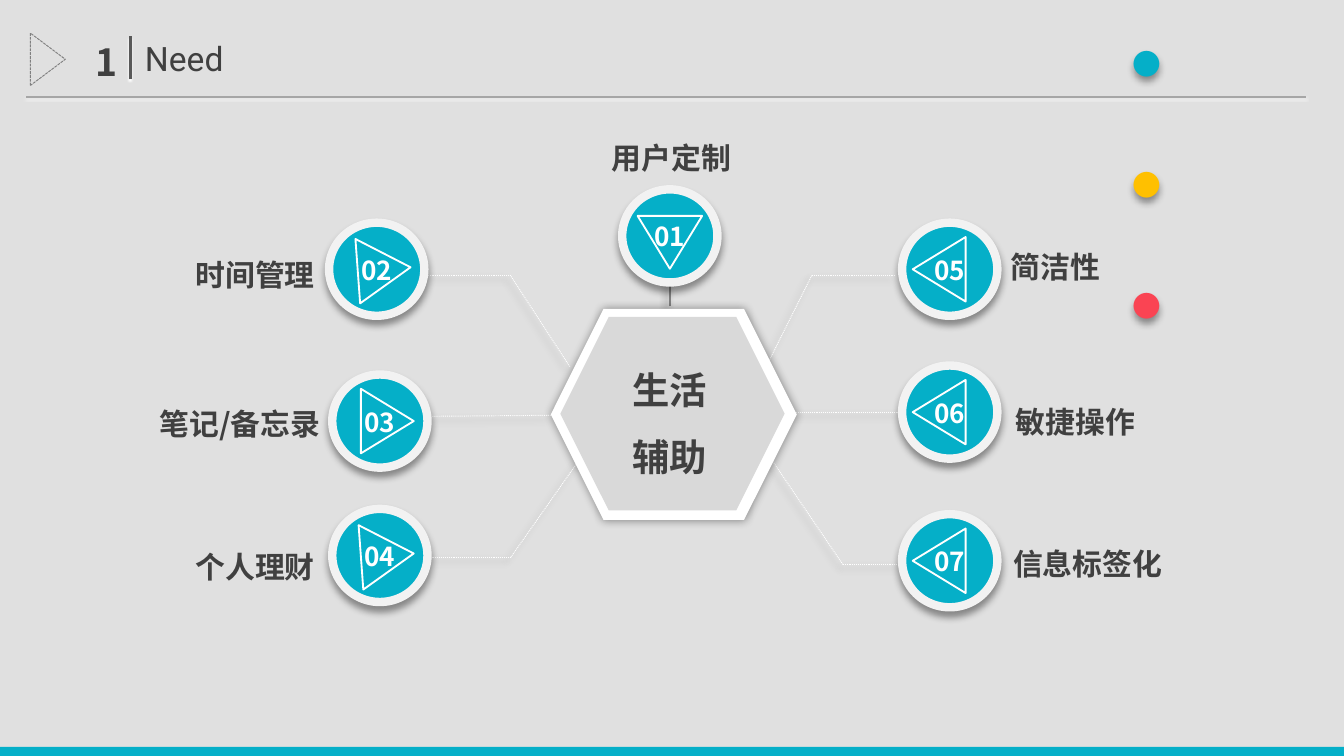
"""Build the slide on the seven needs around a life assistant."""
from lxml import etree
from pptx import Presentation
from pptx import util as u
from pptx.dml.color import RGBColor
from pptx.enum import dml, shapes, text
from pptx.oxml import ns

CM = u.Cm
TEAL, DARK, WHITE = "05AFC8", "404040", "FFFFFF"
CJK = "Noto Sans CJK SC"
KIND, ALIGN = shapes.MSO_SHAPE, text.PP_ALIGN


def colour(code):
    """Turn a hex string into a colour."""
    return RGBColor.from_string(code)


def write(content, left, top, width, height, shape=None, size=16, font=CJK, bold=True,
          align=ALIGN.CENTER, anchor=text.MSO_ANCHOR.MIDDLE, spacing=None, colours=(DARK,)):
    """Write lines of text; a line given as a list has one run per colour."""
    shape = shape or slide.shapes.add_textbox(0, 0, 0, 0)
    shape.left, shape.top, shape.width, shape.height = CM(left), CM(top), CM(width), CM(height)
    frame = shape.text_frame
    frame.word_wrap, frame.vertical_anchor = True, anchor
    frame.margin_left = frame.margin_right = CM(0.25)
    frame.margin_top = frame.margin_bottom = CM(0.13)
    for index, line in enumerate(content):
        paragraph = frame.add_paragraph() if index else frame.paragraphs[0]
        paragraph.alignment, paragraph.line_spacing = align, spacing
        paragraph.space_before = u.Pt(0)
        for piece, code in zip([line] if isinstance(line, str) else line, colours):
            run = paragraph.add_run()
            run.text = piece
            run.font.size, run.font.bold, run.font.name = u.Pt(size), bold, font
            run.font.color.rgb = colour(code)
            etree.SubElement(run.font._element, ns.qn("a:ea"), typeface=font)
    return shape


presentation = Presentation()
presentation.slide_width, presentation.slide_height = CM(25.4), CM(14.29)
slide = presentation.slides.add_slide(presentation.slide_layouts[5])
shadows = []

backdrop = slide.shapes.add_shape(KIND.RECTANGLE, 0, 0, CM(25.4), CM(14.12))
backdrop.fill.solid()
backdrop.fill.fore_color.rgb = colour("000000")
tint = backdrop.element.spPr.find(".//" + ns.qn("a:srgbClr"))
etree.SubElement(tint, ns.qn("a:alpha"), val="12000")
footer = slide.shapes.add_shape(KIND.RECTANGLE, 0, CM(14.12), CM(25.4), CM(0.17))
footer.fill.solid()
footer.fill.fore_color.rgb = colour(TEAL)
for band in (backdrop, footer):
    band.line.fill.background()
    band.shadow.inherit = False

DOTTED = (WHITE, 0.5, dml.MSO_LINE.ROUND_DOT, ("000000", 40, 4, 3, 135))
STEM = ("808080", 1, dml.MSO_LINE.SOLID, ("000000", 40, 4, 3, 135))
RULE = ("A6A6A6", 0.75, dml.MSO_LINE.SOLID, (WHITE, 100, 1, 1, 90))
DIVIDER = ("595959", 1.5, dml.MSO_LINE.SOLID, (WHITE, 100, 1, 1, 90))
routes = [
    (DOTTED, [(10.77, 6.93), (9.65, 5.21), (8.05, 5.21)]),
    (DOTTED, [(10.41, 7.85), (8.05, 7.87)]),
    (DOTTED, [(10.95, 8.69), (9.65, 10.54), (8.05, 10.54)]),
    (DOTTED, [(16.92, 5.21), (15.34, 5.21), (14.53, 6.83)]),
    (DOTTED, [(17.95, 7.8), (14.83, 7.8)]),
    (DOTTED, [(17.53, 10.67), (15.93, 10.67), (14.53, 8.61)]),
    (STEM, [(12.67, 5.79), (12.67, 4.37)]),
    (RULE, [(0.5, 1.83), (24.69, 1.83)]),
    (DIVIDER, [(2.46, 1.5), (2.46, 0.69)]),
]
for (code, weight, dash, shade), points in routes:
    for start, end in zip(points, points[1:]):
        line = slide.shapes.add_connector(
            shapes.MSO_CONNECTOR.STRAIGHT, *[CM(value) for value in start + end])
        line.line.color.rgb = colour(code)
        line.line.width, line.line.dash_style = u.Pt(weight), dash
        shadows.append((line, shade))

for left, top, width, height, code in ((10.41, 5.84, 4.65, 3.99, WHITE),
                                       (10.59, 5.99, 4.24, 3.66, "D9D9D9")):
    hexagon = slide.shapes.add_shape(KIND.HEXAGON, CM(left), CM(top), CM(width), CM(height))
    hexagon.fill.solid()
    hexagon.fill.fore_color.rgb = colour(code)
    hexagon.line.fill.background()
    hexagon.shadow.inherit = False
    if code == WHITE:
        shadows.append((hexagon, ("000000", 40, 5, 0, 0)))
write(["生活", "辅助"], 10.92, 6.45, 3.48, 2.67, size=20, spacing=1.5)

needs = [
    ("01", "用户定制", 12.66, 4.46, 0, 0.12, 180, 10.04, 2.98, ALIGN.CENTER),
    ("02", "时间管理", 7.12, 5.09, 0.14, 0, 85.8, 0.9, 5.19, ALIGN.RIGHT),
    ("03", "笔记/备忘录", 7.18, 7.96, 0.14, 0, 90, 1, 8.01, ALIGN.RIGHT),
    ("04", "个人理财", 7.18, 10.5, 0.14, 0, 85.8, 0.9, 10.71, ALIGN.RIGHT),
    ("05", "简洁性", 17.95, 5.09, -0.2, 0, 270, 18.85, 5.04, ALIGN.LEFT),
    ("06", "敏捷操作", 17.95, 7.79, -0.2, 0, 270, 18.95, 7.96, ALIGN.LEFT),
    ("07", "信息标签化", 17.95, 10.6, -0.2, 0, 270, 18.9, 10.66, ALIGN.LEFT),
]
for number, label, x, y, shift_x, shift_y, angle, label_left, label_middle, align in needs:
    circle = slide.shapes.add_shape(
        KIND.FLOWCHART_CONNECTOR, CM(x - 0.9), CM(y - 0.88), CM(1.8), CM(1.76))
    circle.fill.solid()
    circle.fill.fore_color.rgb = colour(TEAL)
    circle.line.color.rgb = colour("F2F2F2")
    circle.line.width = u.Pt(4.5)
    shadows.append((circle, ("000000", 40, 4, 3, 90)))
    triangle = slide.shapes.add_shape(
        KIND.FLOWCHART_EXTRACT, CM(x + shift_x - 0.61), CM(y + shift_y - 0.5), CM(1.22), CM(1))
    triangle.rotation = angle
    triangle.fill.background()
    triangle.line.color.rgb = colour(WHITE)
    triangle.line.width = u.Pt(1)
    triangle.shadow.inherit = False
    write([number], x - 1.74, y - 0.42, 3.48, 0.86, size=14, colours=[WHITE])
    write([label], label_left, label_middle - 0.47, 5.3, 0.94, align=align)

marker = slide.shapes.add_shape(KIND.FLOWCHART_MERGE, CM(0.41), CM(0.79), CM(0.99), CM(0.66))
marker.rotation = 270
marker.fill.background()
marker.line.color.rgb = colour("808080")
marker.line.width, marker.line.dash_style = u.Pt(0.5), dml.MSO_LINE.SQUARE_DOT
marker.shadow.inherit = False

write(["1"], 0.3, 0.61, 2.18, 1.12, size=20, align=ALIGN.RIGHT, anchor=text.MSO_ANCHOR.TOP)
title = slide.shapes.title
write(["Need"], 2.49, 0.58, 8.41, 1.02, shape=title, size=18, font="Roboto", bold=False,
      align=ALIGN.LEFT, anchor=text.MSO_ANCHOR.TOP)
title.element.getparent().append(title.element)
dots = write([["· ", "· ", "·"]], 20.47, -0.1, 4.19, 2.57, size=54, align=ALIGN.JUSTIFY,
             anchor=text.MSO_ANCHOR.TOP, colours=[TEAL, "FFC000", "FA4453"])
shadows.append((dots, ("000000", 40, 4, 3, 90)))

for shape, (code, opacity, blur, distance, direction) in shadows:
    properties = shape.element.spPr
    effects = properties.find(ns.qn("a:effectLst"))
    if effects is None:
        effects = etree.SubElement(properties, ns.qn("a:effectLst"))
    outer = etree.SubElement(
        effects, ns.qn("a:outerShdw"), blurRad=str(u.Pt(blur)), dist=str(u.Pt(distance)),
        dir=str(direction * 60000), algn="ctr", rotWithShape="0")
    shade = etree.SubElement(outer, ns.qn("a:srgbClr"), val=code)
    etree.SubElement(shade, ns.qn("a:alpha"), val=str(opacity * 1000))

presentation.save("out.pptx")
